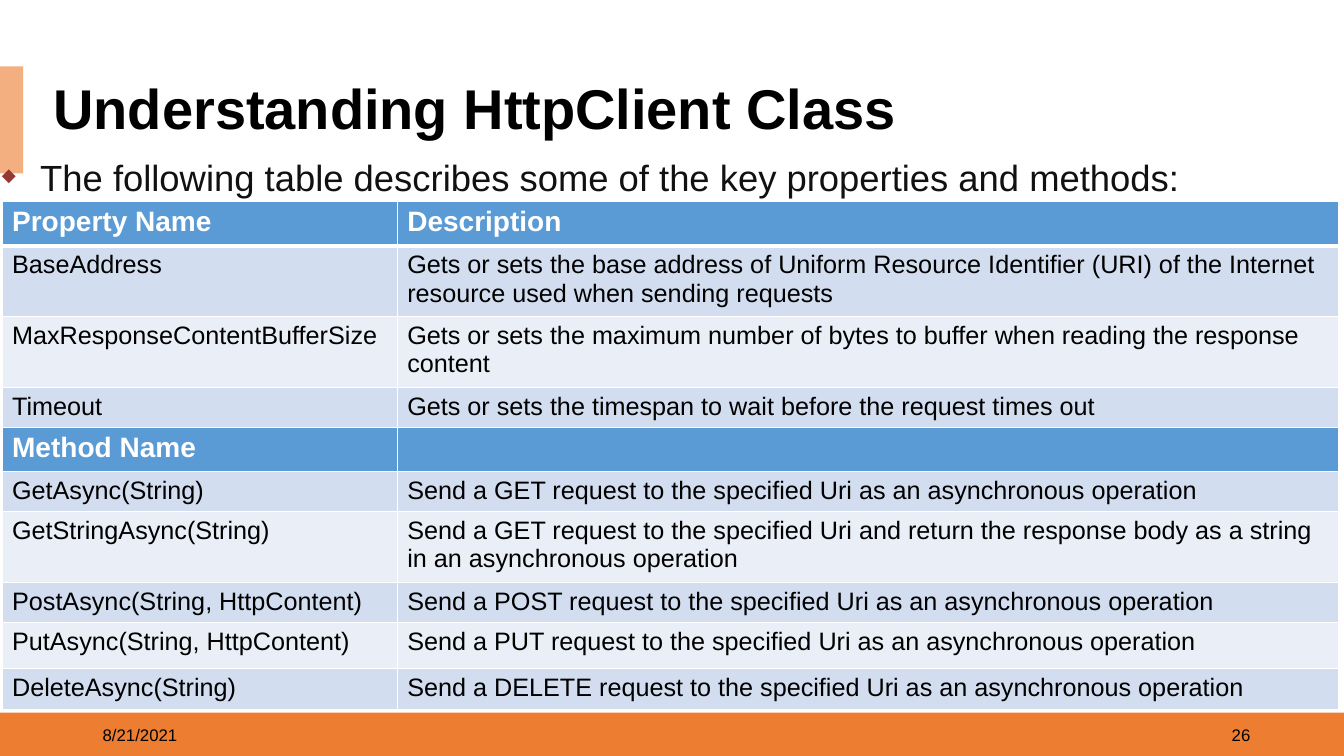
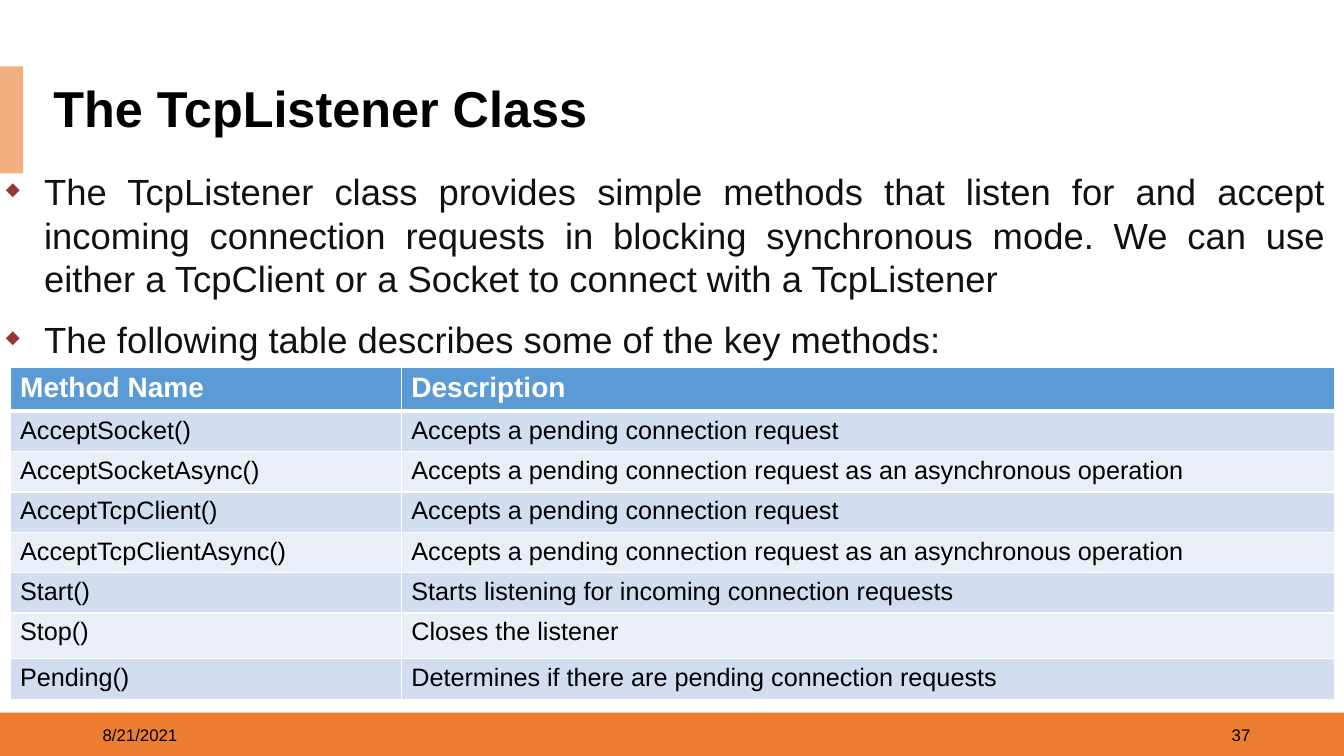
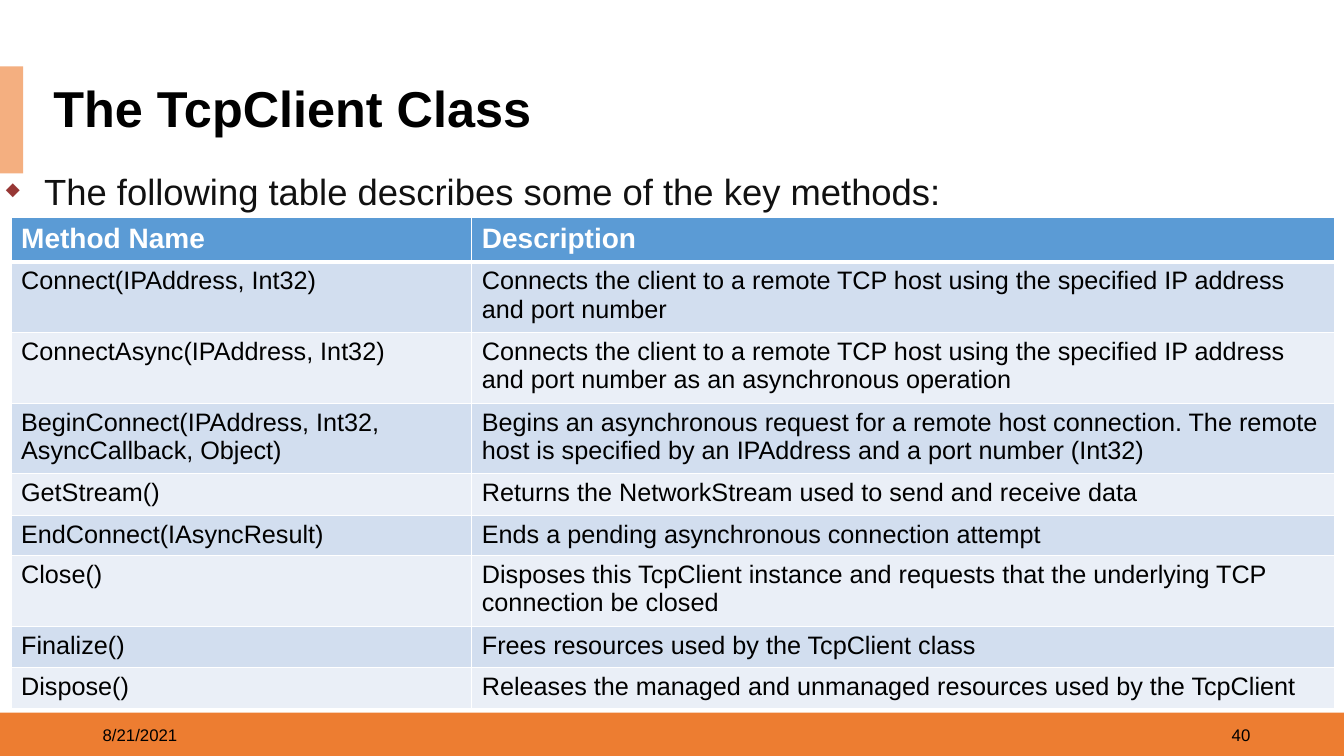
from lxml import etree
from pptx import Presentation
from pptx.dml.color import RGBColor
from pptx.enum.shapes import MSO_SHAPE
from pptx.enum.text import MSO_ANCHOR, PP_ALIGN
from pptx.oxml import parse_xml
from pptx.oxml.ns import nsdecls, qn
from pptx.util import Inches, Pt

FONT = "Arial"
BLACK = RGBColor(0x00, 0x00, 0x00)
WHITE = RGBColor(0xFF, 0xFF, 0xFF)
ORANGE = RGBColor(0xED, 0x7D, 0x31)
PEACH = RGBColor(0xF4, 0xAF, 0x80)
INK = RGBColor(0x11, 0x11, 0x11)
BULLET_RED = RGBColor(0x97, 0x37, 0x35)
BLUE = RGBColor(0x5B, 0x9B, 0xD5)
ROW_DARK = RGBColor(0xD2, 0xDE, 0xEF)
ROW_LIGHT = RGBColor(0xEA, 0xEF, 0xF7)

SHARED_BARS = [((0, 7.07, 13.33, 0.44), ORANGE), ((0, 0.66, 0.23, 1.06), PEACH)]
DATE = "8/21/2021"

# Slide content: heights are row heights, a row listed in "headers" is blue
SLIDES = [
    {
        "title": "Understanding HttpClient Class", "title_size": 40, "number": "26",
        "text_box": (-0.08, 1.49, 12.59, 0.54), "space": (10, 0),
        "bullets": ["The following table describes some of the key properties and methods:"],
        "table_at": (0.02, 2), "cols": (3.92, 9.34), "headers": (0, 4),
        "heights": (0.44, 0.66, 0.66, 0.38, 0.42, 0.4, 0.66, 0.4, 0.46, 0.4),
        "rows": [
            ("Property Name", "Description"),
            ("BaseAddress", "Gets or sets the base address of Uniform Resource Identifier (URI) "
             "of the Internet resource used when sending requests"),
            ("MaxResponseContentBufferSize", "Gets or sets the maximum number of bytes to buffer "
             "when reading the response content"),
            ("Timeout", "Gets or sets the timespan to wait before the request times out"),
            ("Method Name", ""),
            ("GetAsync(String)",
             "Send a GET request to the specified Uri as an asynchronous operation"),
            ("GetStringAsync(String)", "Send a GET request to the specified Uri and return the "
             "response body as a string in an asynchronous operation"),
            ("PostAsync(String, HttpContent)",
             "Send a POST request to the specified Uri as an asynchronous operation"),
            ("PutAsync(String, HttpContent)",
             "Send a PUT request to the specified Uri as an asynchronous operation"),
            ("DeleteAsync(String)",
             "Send a DELETE request to the specified Uri as an asynchronous operation"),
        ],
    },
    {
        "title": "The TcpListener Class", "title_size": 36, "number": "37",
        "text_box": (-0.04, 1.63, 13.3, 2.02), "space": (6, 6),
        "bullets": [
            "The TcpListener class provides simple methods that listen for and accept incoming "
            "connection requests in blocking synchronous mode. We can use either a TcpClient or "
            "a Socket to connect with a TcpListener",
            "The following table describes some of the key methods:",
        ],
        "table_at": (0.1, 3.64), "cols": (3.88, 9.26), "headers": (0,),
        "heights": (0.44, 0.4, 0.4, 0.4, 0.4, 0.4, 0.45, 0.41),
        "rows": [
            ("Method Name", "Description"),
            ("AcceptSocket()", "Accepts a pending connection request"),
            ("AcceptSocketAsync()",
             "Accepts a pending connection request as an asynchronous operation"),
            ("AcceptTcpClient()", "Accepts a pending connection request"),
            ("AcceptTcpClientAsync()",
             "Accepts a pending connection request as an asynchronous operation"),
            ("Start()", "Starts listening for incoming connection requests"),
            ("Stop()", "Closes the listener"),
            ("Pending()", "Determines if there are pending connection requests"),
        ],
    },
    {
        "title": "The TcpClient Class", "title_size": 36, "number": "40",
        "text_box": (-0.04, 1.63, 13.3, 0.54), "space": (6, 6),
        "bullets": ["The following table describes some of the key methods:"],
        "table_at": (0.11, 2.16), "cols": (4.57, 8.56), "headers": (0,),
        "heights": (0.44, 0.7, 0.7, 0.7, 0.41, 0.4, 0.7, 0.41, 0.41),
        "rows": [
            ("Method Name", "Description"),
            ("Connect(IPAddress, Int32)", "Connects the client to a remote TCP host using the "
             "specified IP address and port number"),
            ("ConnectAsync(IPAddress, Int32)", "Connects the client to a remote TCP host using "
             "the specified IP address and port number as an asynchronous operation"),
            ("BeginConnect(IPAddress, Int32, AsyncCallback, Object)",
             "Begins an asynchronous request for a remote host connection. The remote host is "
             "specified by an IPAddress and a port number (Int32)"),
            ("GetStream()", "Returns the NetworkStream used to send and receive data"),
            ("EndConnect(IAsyncResult)", "Ends a pending asynchronous connection attempt"),
            ("Close()", "Disposes this TcpClient instance and requests that the underlying TCP "
             "connection be closed"),
            ("Finalize()", "Frees resources used by the TcpClient class"),
            ("Dispose()", "Releases the managed and unmanaged resources used by the TcpClient"),
        ],
    },
]


def add_run(p, text, size, color, bold=False):
    r = p.add_run()
    r.text = text
    r.font.name = FONT
    r.font.size = Pt(size)
    r.font.bold = bold
    r.font.color.rgb = color


def add_text_box(s, box, anchor):
    tf = s.shapes.add_textbox(*[Inches(v) for v in box]).text_frame
    tf.word_wrap = True
    tf.vertical_anchor = anchor
    return tf


prs = Presentation()
prs.slide_width = Inches(13.33)
prs.slide_height = Inches(7.5)

for content in SLIDES:
    s = prs.slides.add_slide(prs.slide_layouts[5])

    # Bottom band and title accent
    for box, color in SHARED_BARS:
        sp = s.shapes.add_shape(MSO_SHAPE.RECTANGLE, *[Inches(v) for v in box])
        sp.shadow.inherit = False
        sp.fill.solid()
        sp.fill.fore_color.rgb = color
        sp.line.fill.background()

    # Date and slide number
    for left, text, align in ((0.92, DATE, PP_ALIGN.LEFT),
                              (9.5, content["number"], PP_ALIGN.RIGHT)):
        p = add_text_box(s, (left, 7.09, 3, 0.4), MSO_ANCHOR.MIDDLE).paragraphs[0]
        p.alignment = align
        add_run(p, text, 12, BLACK)

    # Title
    title = s.shapes.title
    title.left, title.top = Inches(0.43), Inches(0.79)
    title.width, title.height = Inches(12.78), Inches(0.63)
    title.fill.solid()
    title.fill.fore_color.rgb = WHITE
    tf = title.text_frame
    tf.vertical_anchor = MSO_ANCHOR.MIDDLE
    p = tf.paragraphs[0]
    p.alignment = PP_ALIGN.LEFT
    p.line_spacing = 0.9
    add_run(p, content["title"], content["title_size"], BLACK, True)

    # Table
    rows, cols = content["rows"], content["cols"]
    left, top = content["table_at"]
    table = s.shapes.add_table(
        len(rows), len(cols), Inches(left), Inches(top),
        Inches(sum(cols)), Inches(sum(content["heights"]))).table
    for column, width in zip(table.columns, cols):
        column.width = Inches(width)
    body_index = 0
    for i, (row, height) in enumerate(zip(rows, content["heights"])):
        table.rows[i].height = Inches(height)
        is_header = i in content["headers"]
        if is_header:
            fill, size, color = BLUE, 20, WHITE
            body_index = 0
        else:
            fill, size, color = (ROW_DARK, ROW_LIGHT)[body_index % 2], 18, BLACK
            body_index += 1
        for j, text in enumerate(row):
            cell = table.cell(i, j)
            tcPr = cell._tc.get_or_add_tcPr()
            for side in "LRTB":
                thick = (i == 0 and side == "B") or (i == 1 and side == "T")
                tcPr.append(parse_xml(
                    f'<a:ln{side} {nsdecls("a")} w="{Pt(3 if thick else 1)}"><a:solidFill>'
                    f'<a:srgbClr val="{WHITE}"/></a:solidFill></a:ln{side}>'))
            cell.fill.solid()
            cell.fill.fore_color.rgb = fill
            if text:
                add_run(cell.text_frame.paragraphs[0], text, size, color, is_header)

    # Bulleted text
    tf = add_text_box(s, content["text_box"], MSO_ANCHOR.TOP)
    before, after = content["space"]
    for i, text in enumerate(content["bullets"]):
        p = tf.paragraphs[0] if i == 0 else tf.add_paragraph()
        p.alignment = PP_ALIGN.JUSTIFY
        p.space_before, p.space_after = Pt(before), Pt(after)
        pPr = p._p.get_or_add_pPr()
        pPr.set("marL", str(Inches(0.38)))
        pPr.set("indent", str(Inches(-0.38)))
        bullet_color = etree.SubElement(pPr, qn("a:buClr"))
        etree.SubElement(bullet_color, qn("a:srgbClr"), val=str(BULLET_RED))
        etree.SubElement(pPr, qn("a:buSzPct"), val="50000")
        etree.SubElement(pPr, qn("a:buChar"), char="◆")
        add_run(p, text, 26, INK)

prs.save("out.pptx")
